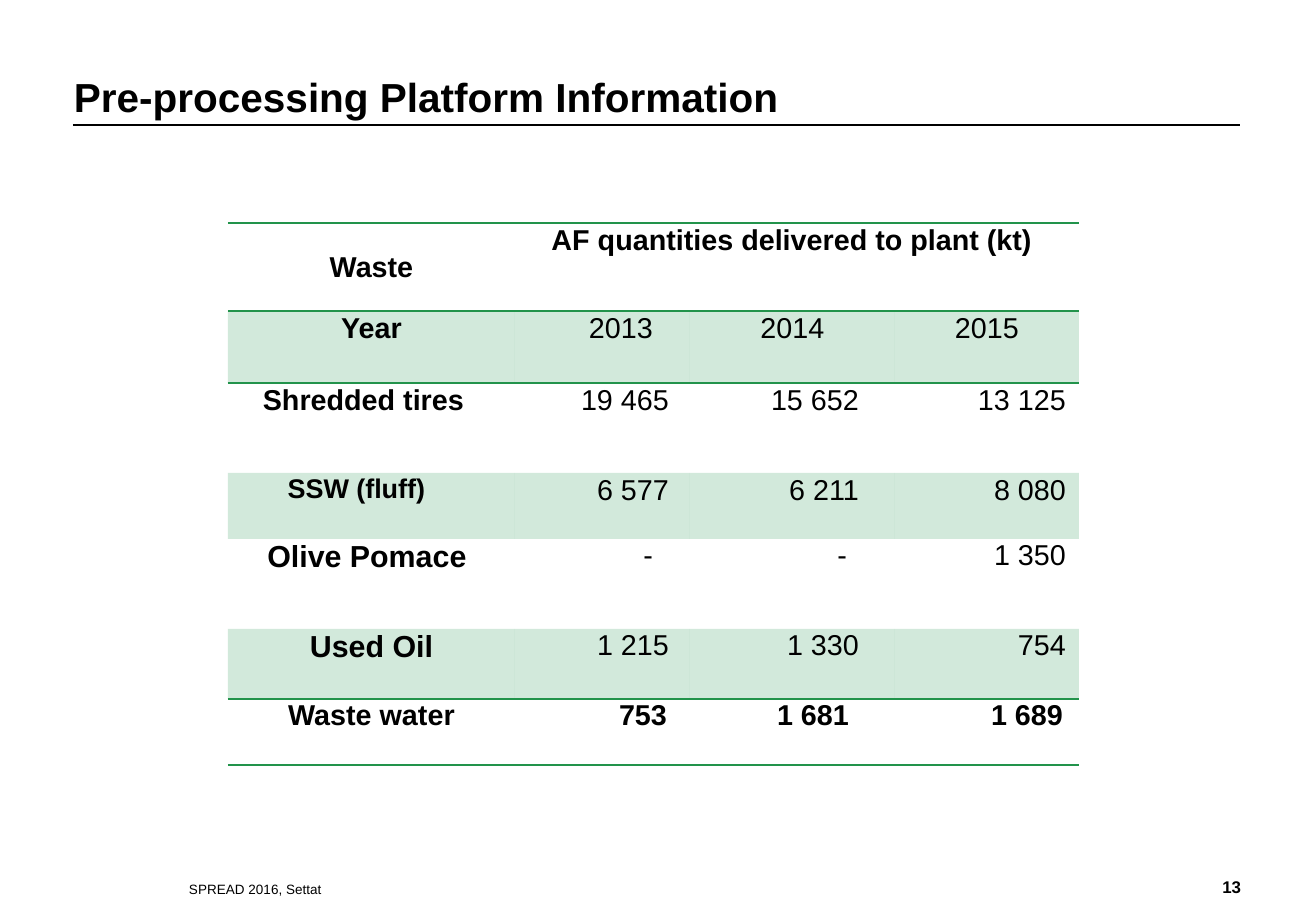
import pptx
import pptx.dml.color
import pptx.enum.shapes
import pptx.enum.text
import pptx.oxml
import pptx.oxml.ns
import pptx.util

EMU_PER_PX = 914400 / 121.5
FONT = "Arial"
COLOURS = {"text": "000000", "green": "22934B"}
NO_STYLE = "{2D5ABB26-0587-4C30-8999-92F81FD0307C}"
ALIGN = pptx.enum.text.PP_ALIGN
ANCHOR = pptx.enum.text.MSO_ANCHOR

COLUMN_WIDTHS = [287, 175, 205, 184]
ROW_HEIGHTS = [88, 72, 90, 66, 90, 70, 66]
RULED_EDGES = {0, 1, 6, 7}
BANDED_ROWS = {1, 3, 5}
TABLE_SIZE = 17

# Waste name, its size, its right inset, then the three yearly quantities
WASTE_ROWS = [
    ("Shredded tires", 17, 17, ["19 465", "15 652", "13 125"]),
    ("SSW (fluff)", 16, 31, ["6 577", "6 211", "8 080"]),
    ("Olive Pomace", 18, 10, ["-", "-", "1 350"]),
    ("Used Oil", 18, 1, ["1 215", "1 330", "754"]),
    ("Waste water", 17, 1, ["753", "1 681", "1 689"]),
]
NUMBER_INSETS = [21, 36, 13]
DASH_INSETS = [37, 48, 13]
LAST_ROW_INSETS = [23, 46, 16]


def px(length):
    return pptx.util.Emu(round(length * EMU_PER_PX))


def colour(name):
    return pptx.dml.color.RGBColor.from_string(COLOURS[name])


def write(frame, text, size, bold=False, align=ALIGN.LEFT):
    para = frame.paragraphs[0]
    para.text = text
    para.alignment = align
    for span in para.runs:
        span.font.name = FONT
        span.font.size = pptx.util.Pt(size)
        span.font.bold = bold
        span.font.color.rgb = colour("text")


def add_text(page, place, text, size, bold=False, align=ALIGN.LEFT,
             anchor=ANCHOR.BOTTOM, top=0, bottom=0):
    box = page.shapes.add_textbox(*[px(length) for length in place])
    frame = box.text_frame
    frame.word_wrap = True
    frame.vertical_anchor = anchor
    frame.margin_left = frame.margin_right = 0
    frame.margin_top, frame.margin_bottom = px(top), px(bottom)
    write(frame, text, size, bold, align)


def add_rule(page, left, right, y):
    rule = page.shapes.add_connector(
        pptx.enum.shapes.MSO_CONNECTOR.STRAIGHT, px(left), px(y), px(right), px(y))
    rule.line.color.rgb = colour("text")
    rule.line.width = pptx.util.Pt(1.75)
    properties = rule._element.spPr
    properties.append(properties.makeelement(pptx.oxml.ns.qn("a:effectLst"), {}))


def fill_cell(cell, text, size=TABLE_SIZE, bold=False, align=ALIGN.CENTER,
              left=1, right=1):
    cell.margin_left, cell.margin_right = px(left), px(right)
    write(cell.text_frame, text, size, bold, align)


def style_cell(cell, row):
    cell.margin_top, cell.margin_bottom = px(1), 0
    properties = cell._tc.get_or_add_tcPr()
    # Tinted band
    if row in BANDED_ROWS:
        cell.fill.solid()
        cell.fill.fore_color.rgb = colour("green")
        tint = properties.find(".//" + pptx.oxml.ns.qn("a:srgbClr"))
        tint.append(tint.makeelement(pptx.oxml.ns.qn("a:alpha"), {"val": "20000"}))
    else:
        cell.fill.background()
    # Horizontal borders, which stand before the fill
    sides = [("lnT", row), ("lnB", row + 1)]
    ruled = [side for side, edge in sides if edge in RULED_EDGES]
    for index, side in enumerate(ruled):
        properties.insert(index, pptx.oxml.parse_xml(
            f'<a:{side} {pptx.oxml.ns.nsdecls("a")} w="12700"><a:solidFill>'
            f'<a:srgbClr val="{COLOURS["green"]}"/></a:solidFill></a:{side}>'))


def add_quantities(page):
    frame = page.shapes.add_table(
        len(ROW_HEIGHTS), len(COLUMN_WIDTHS), px(228), px(223),
        px(sum(COLUMN_WIDTHS)), px(sum(ROW_HEIGHTS)))
    table = frame.table
    table.first_row = table.horz_banding = False
    frame._element.find(".//" + pptx.oxml.ns.qn("a:tableStyleId")).text = NO_STYLE
    for column, width in zip(table.columns, COLUMN_WIDTHS):
        column.width = px(width)
    for index, height in enumerate(ROW_HEIGHTS):
        table.rows[index].height = px(height)
        for cell in table.rows[index].cells:
            style_cell(cell, index)

    # Heading and years
    table.cell(0, 1).merge(table.cell(0, 3))
    table.cell(0, 0).vertical_anchor = ANCHOR.MIDDLE
    fill_cell(table.cell(0, 0), "Waste", bold=True)
    fill_cell(table.cell(0, 1), "AF quantities delivered to plant (kt)",
              bold=True, right=11)
    fill_cell(table.cell(1, 0), "Year", bold=True)
    for column, year in enumerate(["2013", "2014", "2015"], start=1):
        fill_cell(table.cell(1, column), year, left=38 if column == 1 else 1)

    # Wastes and their quantities
    for row, (waste, size, inset, quantities) in enumerate(WASTE_ROWS, start=2):
        last = row == len(ROW_HEIGHTS) - 1
        fill_cell(table.cell(row, 0), waste, size, True, right=inset)
        for index, quantity in enumerate(quantities):
            insets = LAST_ROW_INSETS if last else NUMBER_INSETS
            if quantity == "-":
                insets = DASH_INSETS
            fill_cell(table.cell(row, index + 1), quantity, bold=last,
                      align=ALIGN.RIGHT, right=insets[index])


def main():
    deck = pptx.Presentation()
    deck.slide_width, deck.slide_height = px(1316), px(911)
    page = deck.slides.add_slide(deck.slide_layouts[6])

    # Title and its rule
    add_rule(page, 73, 1240, 125)
    add_text(page, (74, 16, 1166, 106), "Pre-processing Platform Information",
             24, bold=True, bottom=1)

    # Table
    add_quantities(page)

    # Footer
    add_text(page, (189, 881, 469, 16), "SPREAD 2016, Settat", 8)
    add_text(page, (1212, 876, 29, 19), "13", 10, bold=True,
             align=ALIGN.RIGHT, anchor=ANCHOR.TOP, top=1)

    deck.save("out.pptx")


if __name__ == "__main__":
    main()
